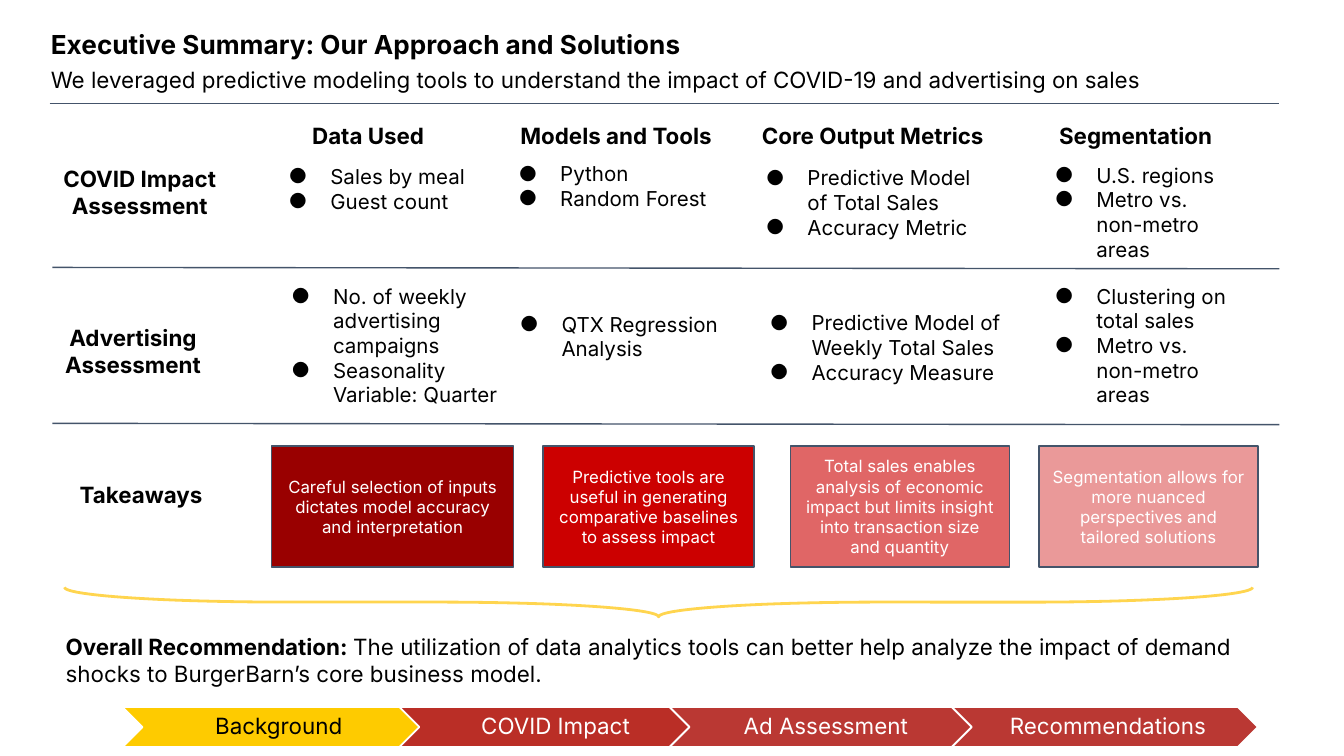
from lxml.etree import SubElement
from pptx import Presentation
from pptx.dml.color import RGBColor
from pptx.enum.shapes import MSO_CONNECTOR as Connector, MSO_SHAPE as Shape
from pptx.enum.text import MSO_ANCHOR as Anchor, PP_ALIGN as Align
from pptx.oxml.ns import qn
from pptx.util import Inches, Pt

FONT = "Inter"
BLACK, WHITE, SLATE = "000000", "FFFFFF", "44546A"
RED, GOLD = "BA3833", "FECB00"

ROWS = [("COVID Impact Assessment", 0.29, 1.13, 1.5),
        ("Advertising Assessment", 0.29, 2.31, 1.4),
        ("Takeaways", 0.35, 3.48, 1.4)]

COLUMNS = [
    {"heading": ("Data Used", 2.09, 1.3),
     "lists": [((1.86, 1.12, 1.73, 0.61), ["Sales by meal", "Guest count"]),
               ((1.88, 2.01, 2.03, 1.13), ["No. of weekly advertising campaigns",
                                           "Seasonality Variable: Quarter"])],
     "takeaway": ("Careful selection of inputs dictates model accuracy and interpretation",
                  2.02, 1.8, "990000")},
    {"heading": ("Models and Tools", 3.72, 1.73),
     "lists": [((3.57, 1.1, 1.86, 0.61), ["Python", "Random Forest"]),
               ((3.58, 2.22, 2.03, 0.57), ["QTX Regression Analysis"])],
     "takeaway": ("Predictive tools are useful in generating comparative baselines to assess impact",
                  4.04, 1.57, "CC0000")},
    {"heading": ("Core Output Metrics", 5.48, 2.03),
     "lists": [((5.41, 1.13, 2.03, 0.81), ["Predictive Model of Total Sales", "Accuracy Metric"]),
               ((5.44, 2.21, 2.13, 0.76), ["Predictive Model of Weekly Total Sales",
                                           "Accuracy Measure"])],
     "takeaway": ("Total sales enables analysis of economic impact but limits insight "
                  "into transaction size and quantity", 5.88, 1.63, "E06666")},
    {"heading": ("Segmentation", 7.7, 1.5),
     "lists": [((7.56, 1.11, 1.73, 0.57), ["U.S. regions", "Metro vs. non-metro areas"]),
               ((7.56, 2.01, 1.73, 1.13), ["Clustering on total sales",
                                           "Metro vs. non-metro areas"])],
     "takeaway": ("Segmentation allows for more nuanced perspectives and tailored solutions",
                  7.73, 1.63, "EA9999")},
]

STEPS = [("Background", 0, GOLD, BLACK), ("COVID Impact", 2.06, "BA2E26", WHITE),
         ("Ad Assessment", 4.07, RED, WHITE), ("Recommendations", 6.17, RED, WHITE)]


def color(value):
    """Return the colour for a hex string."""
    return RGBColor.from_string(value)


def set_frame(shape, anchor=Anchor.TOP, margins=(0.1, 0.1, 0.1, 0.1)):
    """Set wrapping, anchor and margins, and return the text frame."""
    frame = shape.text_frame
    frame.word_wrap = True
    frame.vertical_anchor = anchor
    frame.margin_left, frame.margin_top, frame.margin_right, frame.margin_bottom = map(Inches, margins)
    return frame


def add_run(paragraph, text, size, text_color=BLACK, bold=False):
    """Append one formatted run to a paragraph."""
    run = paragraph.add_run()
    run.text = text
    run.font.name = FONT
    run.font.size = Pt(size)
    run.font.bold = bold
    run.font.color.rgb = color(text_color)


def add_text(slide, box, text, size=12, bold=False, align=Align.LEFT):
    """Place a one-paragraph text box."""
    frame = set_frame(slide.shapes.add_textbox(*map(Inches, box)))
    paragraph = frame.paragraphs[0]
    paragraph.alignment = align
    add_run(paragraph, text, size, bold=bold)
    return paragraph


def add_bullets(slide, box, items):
    """Place a bulleted list."""
    frame = set_frame(slide.shapes.add_textbox(*map(Inches, box)))
    for index, item in enumerate(items):
        paragraph = frame.add_paragraph() if index else frame.paragraphs[0]
        properties = paragraph._p.get_or_add_pPr()
        properties.set("marL", str(Inches(0.5)))
        properties.set("indent", str(Inches(-0.31)))
        bullet_color = SubElement(properties, qn("a:buClr"))
        SubElement(bullet_color, qn("a:srgbClr"), val=BLACK)
        SubElement(properties, qn("a:buFont"), typeface=FONT)
        SubElement(properties, qn("a:buChar"), char="●")
        add_run(paragraph, item, 11)


def add_shape(slide, kind, box, fill, line, line_width):
    """Place a preset shape, unfilled when fill is None."""
    shape = slide.shapes.add_shape(kind, *map(Inches, box))
    shape.shadow.inherit = False
    if fill:
        shape.fill.solid()
        shape.fill.fore_color.rgb = color(fill)
    else:
        shape.fill.background()
    shape.line.color.rgb = color(line)
    shape.line.width = Pt(line_width)
    return shape


def add_rule(slide, left, top, width, drop=0):
    """Draw a rule that falls by drop from left to right."""
    rule = slide.shapes.add_connector(Connector.STRAIGHT, Inches(left), Inches(top),
                                      Inches(left + width), Inches(top + drop))
    rule.line.color.rgb = color(SLATE)
    rule.line.width = Pt(0.75)
    SubElement(rule._element.spPr, qn("a:effectLst"))


def add_header(slide, left, top, width):
    """Place the title, the subtitle and the rule below them."""
    add_text(slide, (left, top, width, 0.44), "Executive Summary: Our Approach and Solutions", 14, True)
    add_text(slide, (left, top + 0.28, width, 0.4),
             "We leveraged predictive modeling tools to understand the impact of "
             "COVID-19 and advertising on sales")
    add_rule(slide, left + 0.09, top + 0.66, width - 0.1)


def add_column(slide, column, heading_top, takeaway_top):
    """Place the heading, the lists and the takeaway of one column."""
    heading, left, width = column["heading"]
    add_text(slide, (left, heading_top, width, 0.4), heading, bold=True, align=Align.CENTER)
    for box, items in column["lists"]:
        add_bullets(slide, box, items)
    text, left, width, fill = column["takeaway"]
    card = add_shape(slide, Shape.RECTANGLE, (left, takeaway_top, width, 0.9), fill, SLATE, 0.75)
    paragraph = set_frame(card, Anchor.MIDDLE).paragraphs[0]
    paragraph.alignment = Align.CENTER
    add_run(paragraph, text, 9, WHITE)


def add_recommendation(slide, left, top, width):
    """Place the brace and the overall recommendation below it."""
    length, depth = 8.84, 0.22
    center_x, center_y = left + 4.51, top - 0.13
    brace = add_shape(slide, Shape.RIGHT_BRACE,
                      (center_x - depth / 2, center_y - length / 2, depth, length),
                      None, "FFD54F", 1.5)
    brace.rotation = 90
    brace.adjustments[0] = 7.51
    paragraph = add_text(slide, (left, top, width, 0.61), "Overall Recommendation: ", bold=True)
    add_run(paragraph, "The utilization of data analytics tools can better help analyze the impact "
                       "of demand shocks to BurgerBarn’s core business model.", 12)


def add_steps(slide, left, top, width, height):
    """Place the row of chevrons with their labels."""
    for text, offset, fill, text_color in STEPS:
        step_left = left + offset
        add_shape(slide, Shape.CHEVRON, (step_left, top, width, height), fill, WHITE, 1)
        label = slide.shapes.add_textbox(*map(Inches, (step_left + 0.16, top, width - 0.32, height)))
        paragraph = set_frame(label, Anchor.MIDDLE, (0.07, 0.02, 0.02, 0.02)).paragraphs[0]
        paragraph.alignment = Align.CENTER
        paragraph.line_spacing = 0.9
        add_run(paragraph, text, 12, text_color)


def main():
    """Build and save the presentation."""
    presentation = Presentation()
    presentation.slide_width = Inches(10)
    presentation.slide_height = presentation.slide_width * 9 // 16
    slide = presentation.slides.add_slide(presentation.slide_layouts[6])
    add_header(slide, 0.28, 0.11, 9.25)
    for text, left, top, width in ROWS:
        height = 0.4 if text == "Takeaways" else 0.61
        add_text(slide, (left, top, width, height), text, bold=True, align=Align.CENTER)
    for top in (1.99, 3.15):
        add_rule(slide, 0.39, top, 9.13, 0.01)
    for column in COLUMNS:
        add_column(slide, column, 0.81, 3.32)
    add_recommendation(slide, 0.39, 4.61, 8.97)
    add_steps(slide, 0.91, 5.26, 2.28, 0.3)
    presentation.save("out.pptx")


if __name__ == "__main__":
    main()
